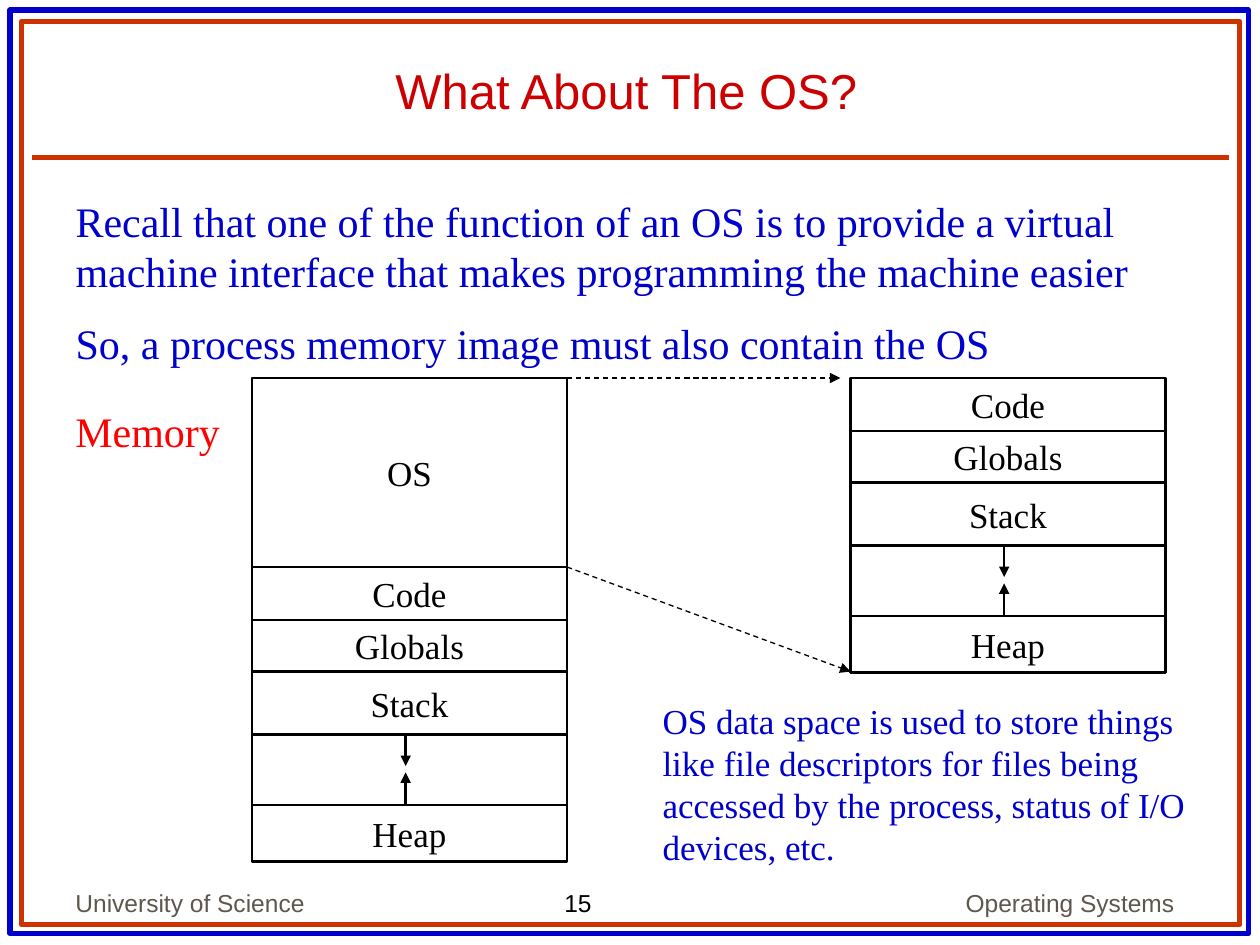
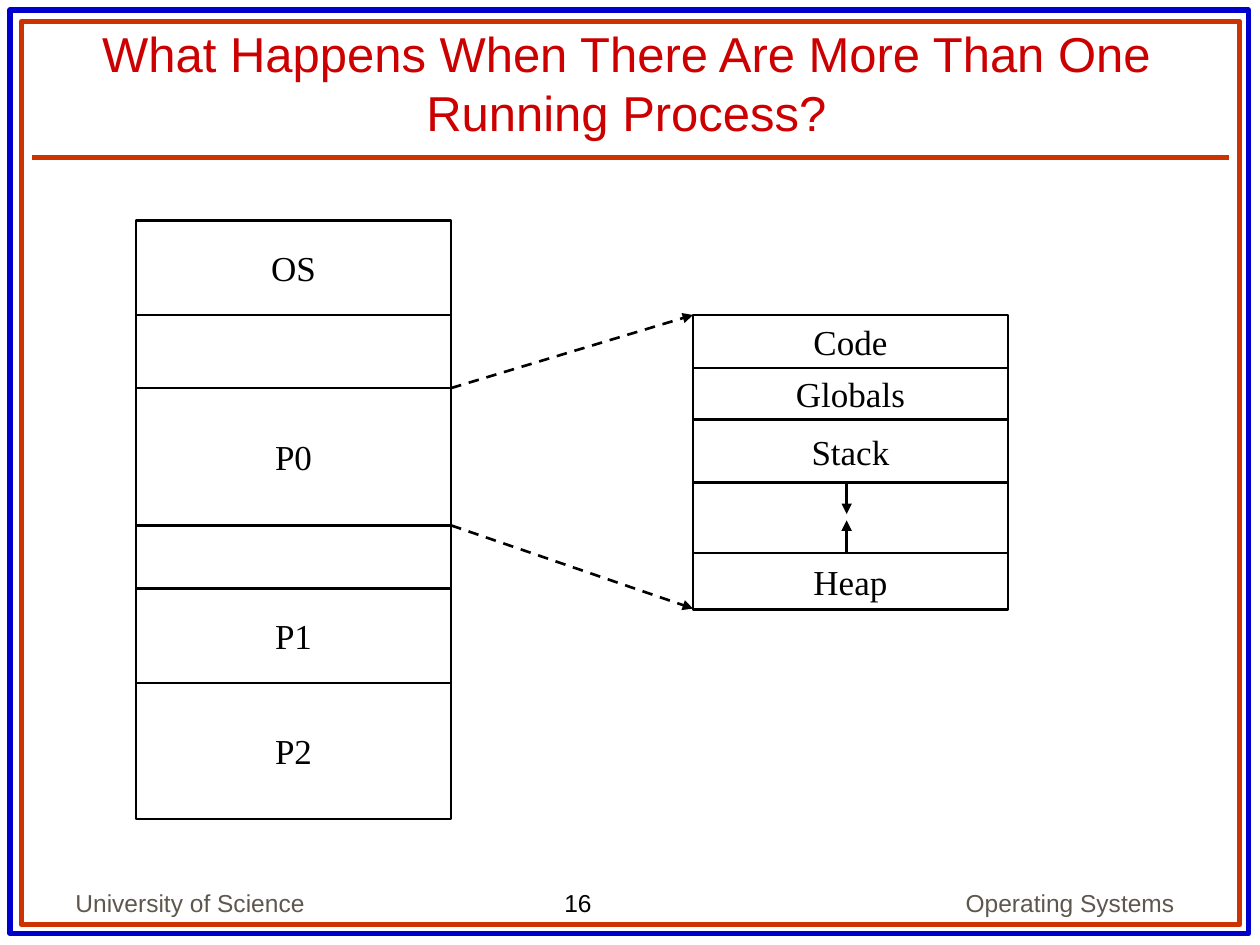
from lxml.etree import SubElement
from pptx import Presentation
from pptx.dml.color import RGBColor
from pptx.enum.dml import MSO_LINE
from pptx.enum.shapes import MSO_CONNECTOR, MSO_SHAPE
from pptx.enum.text import MSO_ANCHOR, MSO_AUTO_SIZE, PP_ALIGN
from pptx.oxml.ns import qn
from pptx.util import Inches, Pt

# Shared colours and fonts
BLUE, ORANGE, TITLE_RED, LABEL_RED = "0000CC", "CC3300", "CC0000", "FF0000"
BLACK, GREY = "000000", "5E574E"
SANS, SERIF = "Arial", "Times New Roman"


def write(shape, lines, size, font, color, align=PP_ALIGN.LEFT,
          anchor=MSO_ANCHOR.TOP, space=0):
    """Fill a shape with one plain paragraph per line."""
    frame = shape.text_frame
    frame.word_wrap = True
    frame.auto_size = MSO_AUTO_SIZE.NONE
    frame.vertical_anchor = anchor
    for index, line in enumerate(lines):
        para = frame.add_paragraph() if index else frame.paragraphs[0]
        properties = para._p.get_or_add_pPr()
        properties.set("marL", "0")
        properties.set("indent", "0")
        SubElement(properties, qn("a:buNone"))
        para.alignment = align
        para.space_before = Pt(space if index else 0)
        span = para.add_run()
        span.text = line
        span.font.size = Pt(size)
        span.font.name = font
        span.font.color.rgb = RGBColor.from_string(color)


def draw_line(page, start, end, color=BLACK, width=1.5, dashed=False, arrow=True):
    """Draw a straight line, with an arrowhead at its end if wanted."""
    line = page.shapes.add_connector(
        MSO_CONNECTOR.STRAIGHT, *(Inches(value) for value in (*start, *end)))
    line.line.color.rgb = RGBColor.from_string(color)
    line.line.width = Pt(width)
    if dashed:
        line.line.dash_style = MSO_LINE.DASH
    if arrow:
        SubElement(line.line._get_or_add_ln(), qn("a:tailEnd"), type="triangle")
    SubElement(line._element.spPr, qn("a:effectLst"))


# Memory blocks from top to bottom: label and height
process_blocks = [("Code", 0.42), ("Globals", 0.41), ("Stack", 0.5), ("", 0.56), ("Heap", 0.45)]
memory_blocks = [("OS", 0.75), ("", 0.58), ("P0", 1.09), ("", 0.5), ("P1", 0.75), ("P2", 1.08)]
BLOCK_WIDTH = 2.5

# Each page: layout, title, title top, number, stacks (left, top, blocks),
# zoom lines (start, end) and their width
pages = [
    (1, "What About The OS?", 0.25, "15",
     [(2, 3, [("OS", 1.5)]), (2, 4.5, process_blocks), (6.75, 3, process_blocks)],
     [((4.5, 3), (6.67, 3)), ((4.5, 4.5), (6.75, 5.33))], 0.75),
    (5, "What Happens When There Are More Than One Running Process?", 0.42, "16",
     [(1.08, 1.75, memory_blocks), (5.5, 2.5, process_blocks)],
     [((3.58, 3.08), (5.5, 2.5)), ((3.58, 4.17), (5.5, 4.83))], 1.5),
]

deck = Presentation()
deck.slide_width, deck.slide_height = Inches(10), Inches(7.5)

for layout, title, title_top, number, stacks, zoom_lines, zoom_width in pages:
    page = deck.slides.add_slide(deck.slide_layouts[layout])

    # Double border, memory blocks
    boxes = [(0.08, 0.08, 9.83, 7.33, BLUE, 3, ""), (0.17, 0.17, 9.67, 7.17, ORANGE, 3, "")]
    for left, top, blocks in stacks:
        for label, height in blocks:
            boxes.append((left, top, BLOCK_WIDTH, height, BLACK, 1.5, label))
            top += height
    for left, top, width, height, color, weight, label in boxes:
        box = page.shapes.add_shape(
            MSO_SHAPE.RECTANGLE, Inches(left), Inches(top), Inches(width), Inches(height))
        box.shadow.inherit = False
        box.fill.background()
        box.line.color.rgb = RGBColor.from_string(color)
        box.line.width = Pt(weight)
        if label:
            write(box, [label], 20, SERIF, BLACK, PP_ALIGN.CENTER, MSO_ANCHOR.MIDDLE)

    # Title and rule
    heading = page.shapes.title
    heading.left, heading.top = Inches(0.44), Inches(title_top)
    heading.width, heading.height = Inches(9.06), Inches(0.75)
    write(heading, [title], 28, SANS, TITLE_RED, PP_ALIGN.CENTER, MSO_ANCHOR.BOTTOM)
    draw_line(page, (0.25, 1.25), (9.75, 1.25), ORANGE, 3, arrow=False)

    # Footer
    for text, left, top, width, height, color, align, anchor in [
        ("University of Science", 0.5, 6.83, 2.08, 0.5, GREY, PP_ALIGN.LEFT, MSO_ANCHOR.BOTTOM),
        (number, 4.38, 7, 1.09, 0.34, BLACK, PP_ALIGN.LEFT, MSO_ANCHOR.TOP),
        ("Operating Systems", 6.67, 6.83, 2.75, 0.5, GREY, PP_ALIGN.RIGHT, MSO_ANCHOR.BOTTOM),
    ]:
        footer = page.shapes.add_textbox(
            Inches(left), Inches(top), Inches(width), Inches(height))
        write(footer, [text], 14, SANS, color, align, anchor)

    # Stack and heap grow towards each other
    for left, top, blocks in stacks:
        if blocks is process_blocks:
            middle = left + 1.22
            draw_line(page, (middle, top + 1.33), (middle, top + 1.58))
            draw_line(page, (middle, top + 1.89), (middle, top + 1.63))

    # Zoom lines to the detailed stack
    for start, end in zoom_lines:
        draw_line(page, start, end, width=zoom_width, dashed=True)

# Text of the first page
page = deck.slides[0]
body = page.placeholders[1]
body.left, body.top = Inches(0.5), Inches(1.5)
body.width, body.height = Inches(8.94), Inches(5.13)
write(body, [
    "Recall that one of the function of an OS is to provide a virtual machine "
    "interface that makes programming the machine easier",
    "So, a process memory image must also contain the OS",
], 24, SERIF, BLUE, space=12)

memory_label = page.shapes.add_textbox(Inches(0.5), Inches(3.17), Inches(1.45), Inches(0.5))
write(memory_label, ["Memory"], 24, SERIF, LABEL_RED)

data_note = page.shapes.add_textbox(Inches(5.16), Inches(5.5), Inches(4.45), Inches(1.44))
write(data_note, [
    "OS data space is used to store things",
    "like file descriptors for files being",
    "accessed by the process, status of I/O",
    "devices, etc.",
], 20, SERIF, BLUE)

deck.save("out.pptx")
